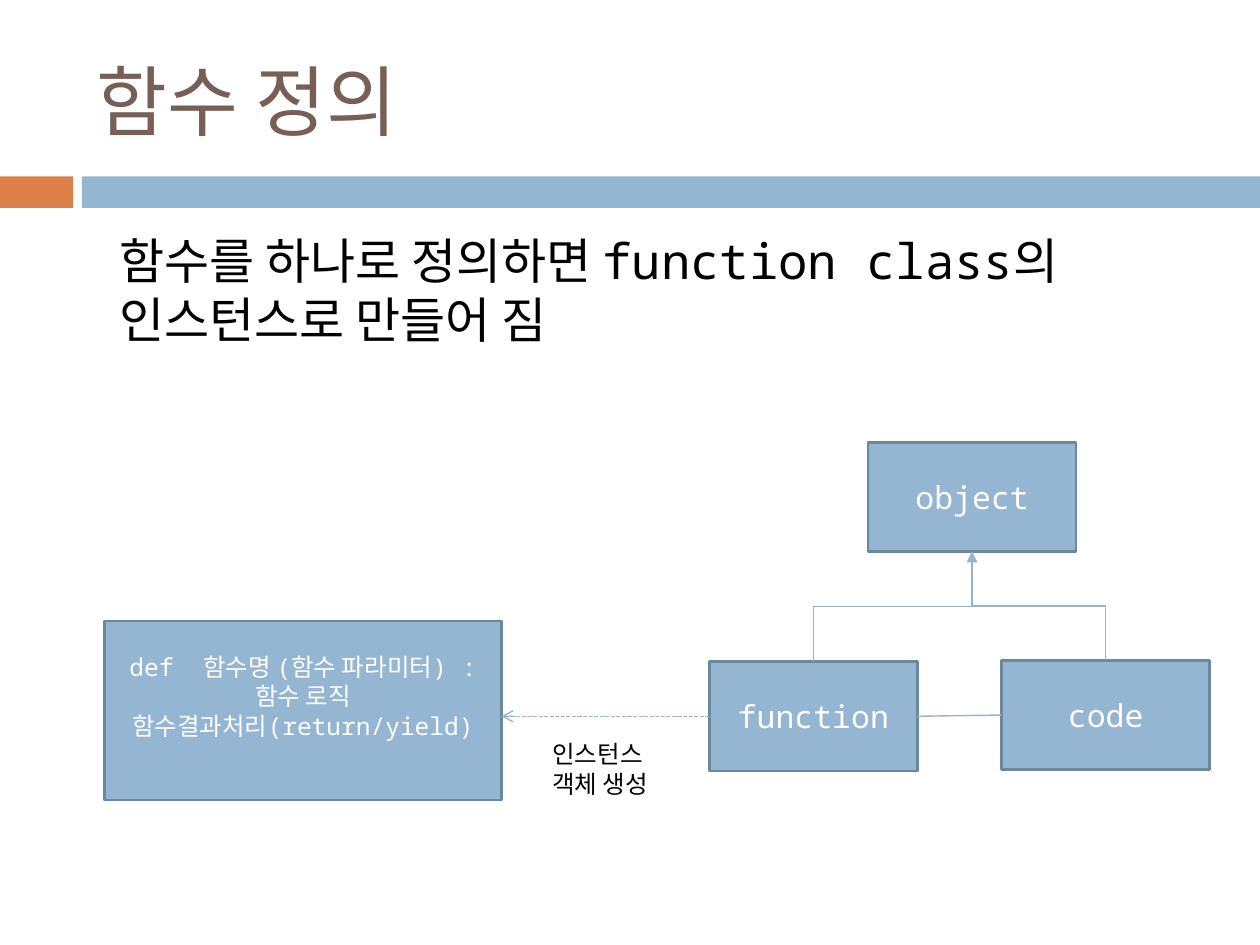
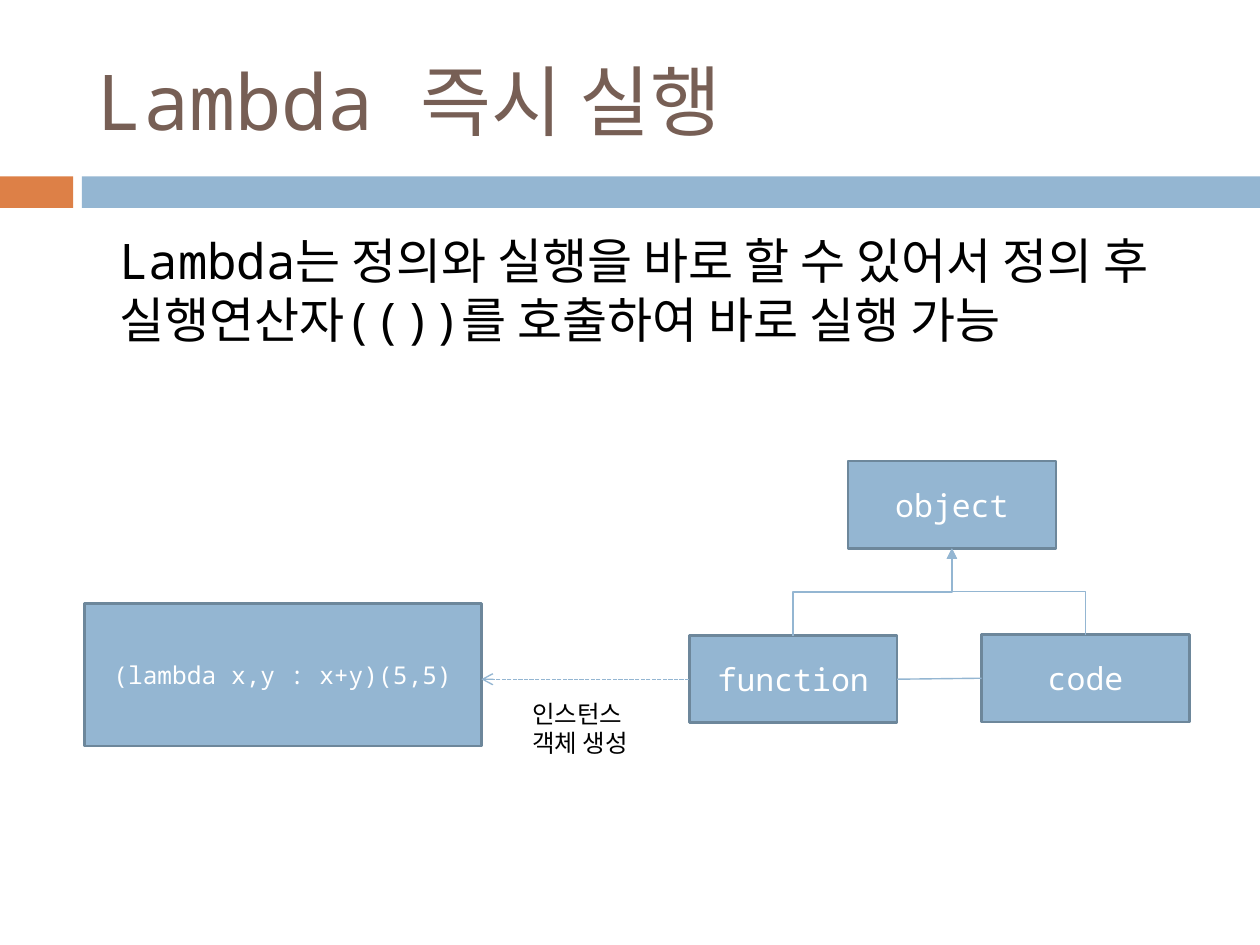
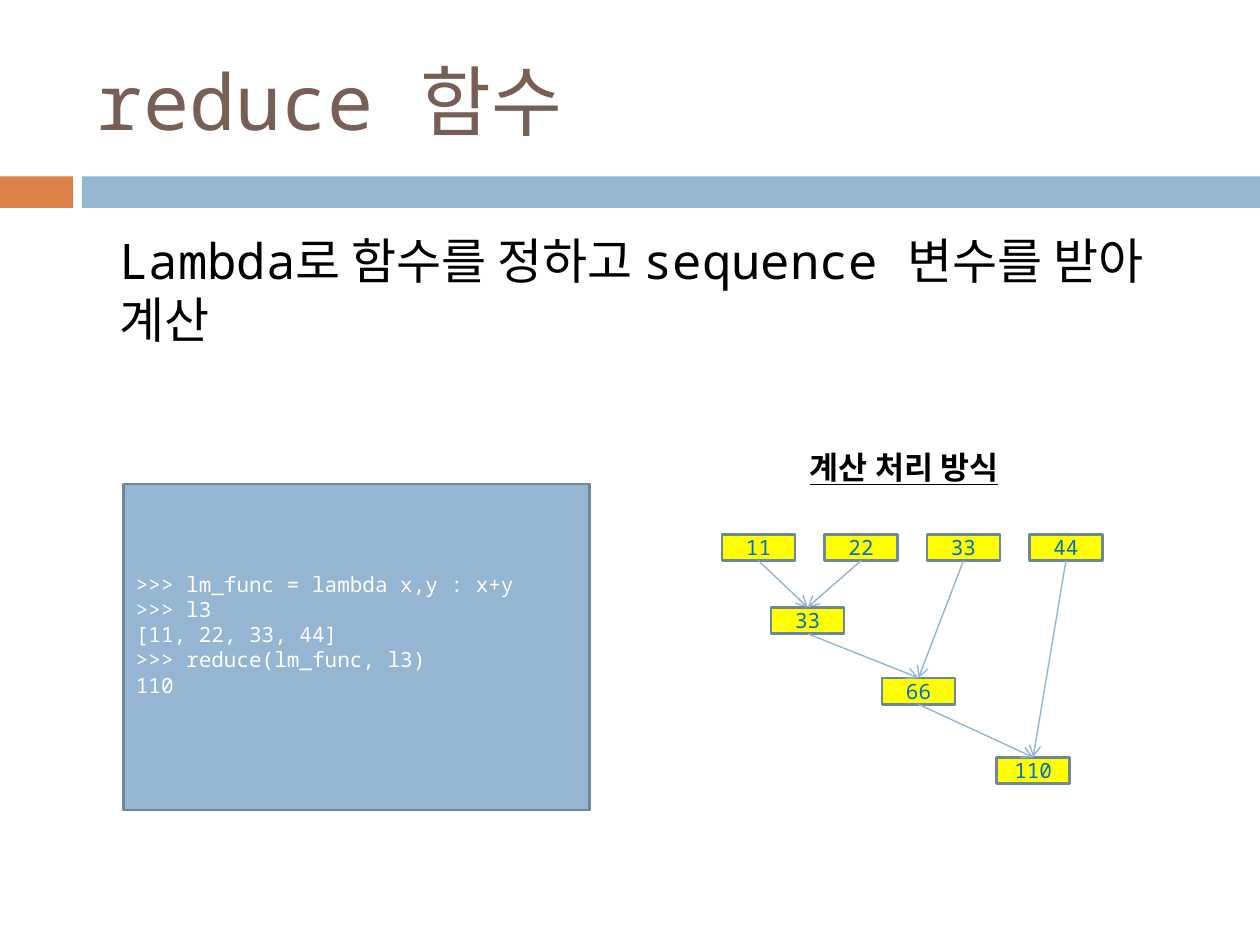
from dataclasses import dataclass
from itertools import accumulate

from lxml.etree import SubElement
from pptx import Presentation
from pptx.dml.color import RGBColor
from pptx.enum.dml import MSO_LINE
from pptx.enum.shapes import MSO_CONNECTOR as Link, MSO_SHAPE
from pptx.enum.text import MSO_ANCHOR as Anchor, PP_ALIGN as Align
from pptx.oxml.ns import qn
from pptx.util import Inches, Pt


@dataclass(frozen=True)
class Theme:
    """Colours, font and type sizes shared by every slide."""

    font: str = "Noto Sans Mono"
    title: str = "775F55"
    accent: str = "DD8047"
    blue: str = "94B6D2"
    edge: str = "6D879B"
    ink: str = "000000"
    paper: str = "FFFFFF"
    number_fill: str = "FFFF00"
    number_ink: str = "0070C0"
    title_size: int = 44
    body_size: int = 28
    node_size: int = 18
    note_size: int = 14
    code_size: int = 12
    edge_width: float = 1.5
    link_width: float = 0.79


THEME = Theme()


@dataclass(frozen=True)
class Box:
    """A rectangle measured in inches."""

    left: float
    top: float
    width: float
    height: float

    def emu(self):
        """Return the four sides as lengths."""
        return [Inches(side) for side in (self.left, self.top, self.width, self.height)]

    def point(self, across, down):
        """Return the point at the given fractions of the box."""
        return self.left + across * self.width, self.top + down * self.height


def write(shape, lines, size, color, align=Align.LEFT, anchor=Anchor.TOP):
    """Write lines into a shape, one paragraph each."""
    frame = shape.text_frame
    frame.text = "\n".join(lines)
    frame.word_wrap = True
    frame.vertical_anchor = anchor
    for paragraph in frame.paragraphs:
        paragraph.alignment = align
        for run in paragraph.runs:
            run.font.size = Pt(size)
            run.font.name = THEME.font
            run.font.color.rgb = RGBColor.from_string(color)
    return frame


def add_text(slide, box, lines, size, color, **layout):
    """Add a text box and return its frame."""
    return write(slide.shapes.add_textbox(*box.emu()), lines, size, color, **layout)


def add_panel(slide, box, fill, edge=None):
    """Add a flat rectangle with an optional outline."""
    panel = slide.shapes.add_shape(MSO_SHAPE.RECTANGLE, *box.emu())
    panel.shadow.inherit = False
    panel.fill.solid()
    panel.fill.fore_color.rgb = RGBColor.from_string(fill)
    if edge:
        panel.line.color.rgb = RGBColor.from_string(edge)
        panel.line.width = Pt(THEME.edge_width)
    else:
        panel.line.fill.background()
    return panel


def add_node(slide, box, lines, size, fill=THEME.blue, color=THEME.paper, align=Align.CENTER):
    """Add an outlined rectangle with text and return its frame."""
    panel = add_panel(slide, box, fill, THEME.edge)
    return write(panel, lines, size, color, align, Anchor.MIDDLE)


def add_link(slide, start, end, head=None, dashed=False, kind=Link.STRAIGHT):
    """Join two points with a thin line."""
    link = slide.shapes.add_connector(kind, *[Inches(n) for n in (*start, *end)])
    link.line.color.rgb = RGBColor.from_string(THEME.blue)
    link.line.width = Pt(THEME.link_width)
    if dashed:
        link.line.dash_style = MSO_LINE.SQUARE_DOT
    properties = link.element.spPr
    if head:
        SubElement(properties.find(qn("a:ln")), qn("a:tailEnd"), type=head)
    SubElement(properties, qn("a:effectLst"))
    return link


def add_riser(slide, start, end):
    """Join two points with an elbow that leaves and arrives vertically."""
    (x1, y1), (x2, y2) = start, end
    middle_x, middle_y = (x1 + x2) / 2, (y1 + y2) / 2
    half_rise, half_run = (y1 - y2) / 2, (x2 - x1) / 2
    riser = add_link(
        slide,
        (middle_x - half_rise, middle_y - half_run),
        (middle_x + half_rise, middle_y + half_run),
        head="triangle",
        kind=Link.ELBOW,
    )
    riser.element.spPr.find(qn("a:xfrm")).set("rot", str(270 * 60000))


def add_page(deck, title, statement):
    """Add a slide with title, colour bands and statement."""
    slide = deck.slides.add_slide(deck.slide_layouts[6])
    add_panel(slide, Box(0, 1.4, 0.58, 0.25), THEME.accent)
    add_panel(slide, Box(0.65, 1.4, 9.35, 0.25), THEME.blue)
    add_text(slide, Box(0.67, 0.25, 8.92, 1.08), [title],
             THEME.title_size, THEME.title, anchor=Anchor.MIDDLE)
    body = add_text(slide, Box(0.5, 1.78, 9, 1.42), [statement], THEME.body_size, THEME.ink)
    paragraph = body.paragraphs[0]
    paragraph.space_before = Pt(5.5)
    paragraph._p.get_or_add_pPr().set("marL", str(Inches(0.35)))
    return slide


def add_class_diagram(slide, box, code, bottom_inset=0.05):
    """Draw the class tree and the code that a function is made from."""
    scale = box.height / 2.84

    def part(left, top, width, height):
        return Box(box.left + left, box.top + top * scale, width, height * scale)

    definition = part(0, 1.42, 3.15, 1.42)
    parent = part(6.06, 0, 1.65, 0.87)
    function = part(4.8, 1.74, 1.65, 0.87)
    code_class = part(7.12, 1.73, 1.65, 0.87)

    frame = add_node(slide, definition, code, THEME.note_size)
    frame.margin_bottom = Inches(bottom_inset)
    for node, name in ((parent, "object"), (function, "function"), (code_class, "code")):
        add_node(slide, node, [name], THEME.node_size)
    for child in (function, code_class):
        add_riser(slide, child.point(0.5, 0), parent.point(0.5, 1))
    add_link(slide, function.point(1, 0.5), code_class.point(0, 0.5))
    source = function.point(0, 0.5)
    add_link(slide, source, (definition.point(1, 0)[0], source[1]), "arrow", dashed=True)
    add_text(slide, part(3.07, 2.31, 1.73, 0.57), ["인스턴스 ", "객체 생성"],
             THEME.note_size, THEME.ink, align=Align.CENTER)


def add_reduction(slide, box, values):
    """Draw how a list is folded into one number, step by step."""
    width, height = 0.58, 0.21
    pitch = (box.width - width) / (len(values) - 1)
    inputs = [Box(box.left + i * pitch, box.top, width, height) for i in range(len(values))]
    steps = [(0.39, 0.58), (1.27, 1.14), (2.18, 1.77)]
    sums = [Box(box.left + x, box.top + y, width, height) for x, y in steps]
    totals = list(accumulate(values))[1:]

    for cell, number in zip(inputs + sums, values + totals):
        add_node(slide, cell, [str(number)], THEME.code_size,
                 THEME.number_fill, THEME.number_ink)
    for carried, added, total in zip(inputs[:1] + sums, inputs[1:], sums):
        for term in (carried, added):
            add_link(slide, term.point(0.5, 1), total.point(0.5, 0), "arrow")


def add_reduce_example(slide, box, code, heading, values):
    """Place the code panel beside the headed reduction."""
    panel = Box(box.left, box.top + 0.33, 3.7, 2.59)
    frame = add_node(slide, panel, code, THEME.code_size, align=Align.LEFT)
    frame.margin_bottom = Inches(0.25)
    add_reduction(slide, Box(box.left + 4.75, box.top + 0.73, 3.02, 1.98), values)
    caption = add_text(slide, Box(box.left + 4.75, box.top, 2.89, 0.4), [heading],
                       THEME.node_size, THEME.ink, align=Align.CENTER)
    font = caption.paragraphs[0].runs[0].font
    font.bold = font.underline = True


def main():
    """Build the three slides and save them."""
    deck = Presentation()
    deck.slide_width, deck.slide_height = Inches(10), Inches(7.5)

    definition = add_page(deck, "함수 정의",
                          "함수를 하나로 정의하면 function class의 인스턴스로 만들어 짐")
    add_class_diagram(
        definition, Box(0.83, 3.51, 8.77, 2.84),
        ["def  함수명 (함수 파라미터) :", "함수 로직", "함수결과처리(return/yield)"],
        bottom_inset=0.28)

    immediate = add_page(
        deck, "Lambda 즉시 실행",
        "Lambda는 정의와 실행을 바로 할 수 있어서 정의 후 실행연산자(())를 호출하여 바로 실행 가능")
    add_class_diagram(immediate, Box(0.67, 3.66, 8.77, 2.26), ["(lambda x,y : x+y)(5,5)"])

    reduction = add_page(deck, "reduce 함수",
                         "Lambda로 함수를 정하고 sequence 변수를 받아 계산")
    add_reduce_example(
        reduction, Box(0.98, 3.51, 7.77, 2.92),
        [">>> lm_func = lambda x,y : x+y", ">>> l3", "[11, 22, 33, 44]",
         ">>> reduce(lm_func, l3)", "110"],
        "계산 처리 방식", [11, 22, 33, 44])

    deck.save("out.pptx")


main()
